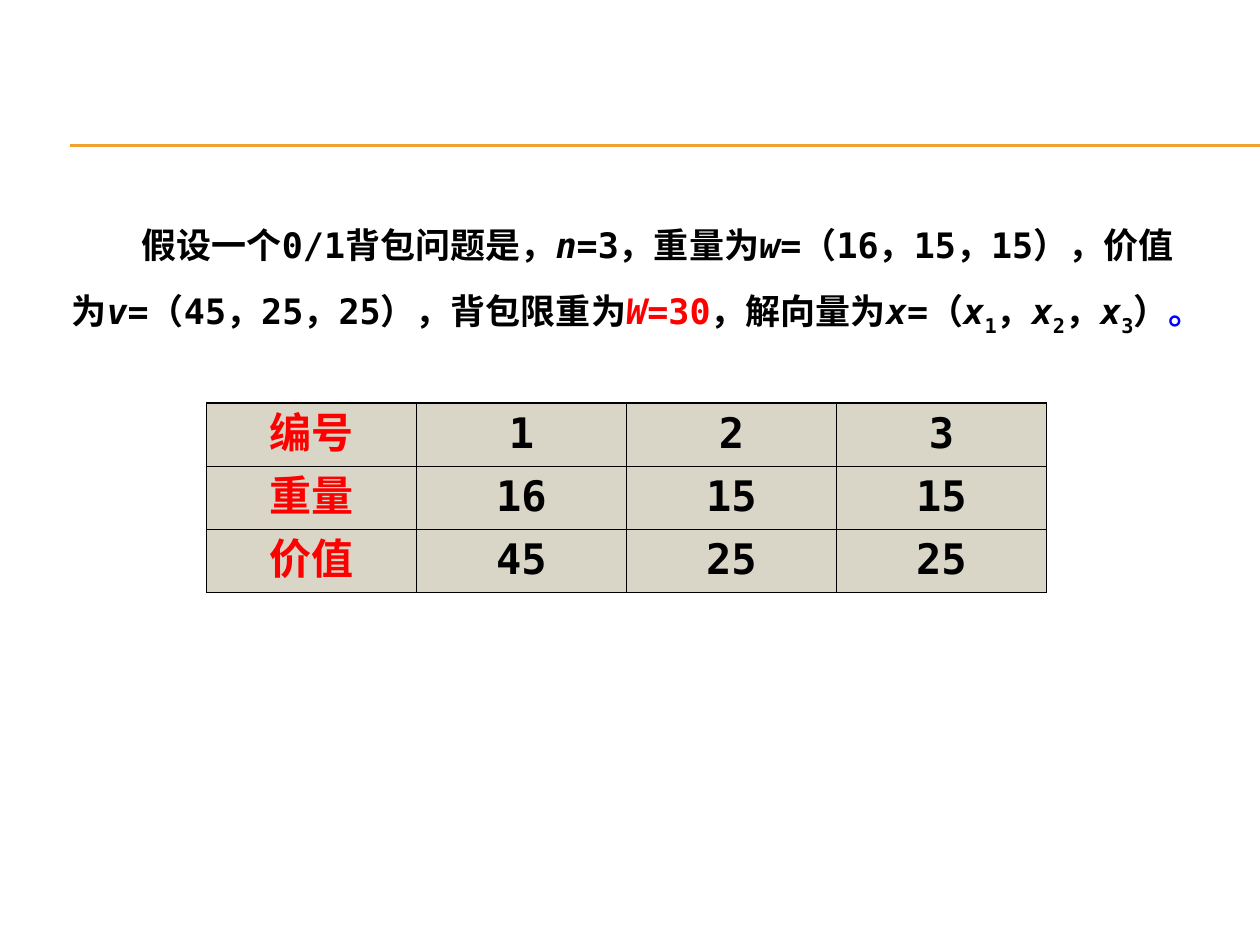
import dataclasses

import lxml.etree
import pptx
import pptx.dml.color
import pptx.enum.shapes
import pptx.enum.text
import pptx.oxml.ns
import pptx.util

Pt = pptx.util.Pt
qn = pptx.oxml.ns.qn
Sub = lxml.etree.SubElement


@dataclasses.dataclass(frozen=True)
class Theme:
    font: str = "DejaVu Sans Mono"
    ink: str = "000000"
    red: str = "FF0000"
    blue: str = "0000FF"
    gold: str = "F0A22E"
    sand: str = "D9D5C7"
    body: int = 20
    cell: int = 24


THEME = Theme()


def rgb(code):
    return pptx.dml.color.RGBColor.from_string(code)


def write(para, text, size=THEME.body, color=THEME.ink, slant=False, base=0):
    run = para.add_run()
    run.text = text
    font = run.font
    font.name, font.size, font.bold = THEME.font, Pt(size), True
    font.italic = slant
    font.color.rgb = rgb(color)
    props = run._r.get_or_add_rPr()
    Sub(props, qn("a:ea")).set("typeface", THEME.font)
    if base:
        props.set("baseline", str(base * 1000))


def rule(slide, y):
    line = slide.shapes.add_connector(
        pptx.enum.shapes.MSO_CONNECTOR.STRAIGHT, Pt(40.3), Pt(y), Pt(720), Pt(y))
    line.line.color.rgb = rgb(THEME.gold)
    line.line.width = Pt(0.75)
    Sub(line._element.spPr, qn("a:effectLst"))


def problem(slide):
    box = slide.shapes.add_textbox(Pt(33.8), Pt(112.3), Pt(663), Pt(80))
    frame = box.text_frame
    frame.word_wrap = True
    para = frame.paragraphs[0]
    para.line_spacing = 1.5
    para.space_before = Pt(10)
    para._p.get_or_add_pPr().set("indent", str(Pt(2 * THEME.body)))
    var = {"slant": True}
    sub = {"base": -25}
    hot = {"color": THEME.red}
    parts = [
        ("假设一个0/1背包问题是，", {}), ("n", var), ("=3，重量为", {}),
        ("w", var), ("=（16，15，15），价值为", {}),
        ("v", var), ("=（45，25，25），背包限重为", {}),
        ("W", var | hot), ("=30", hot), ("，解向量为", {}),
        ("x", var), ("=（", {}),
        ("x", var), ("1", sub), ("，", {}),
        ("x", var), ("2", sub), ("，", {}),
        ("x", var), ("3", sub), ("）", {}),
        ("。", {"color": THEME.blue}),
    ]
    for text, style in parts:
        write(para, text, **style)


def border(cell):
    props = cell._tc.get_or_add_tcPr()
    for place, side in enumerate(("lnL", "lnR", "lnT", "lnB")):
        edge = lxml.etree.Element(qn("a:" + side), w=str(Pt(1)))
        fill = Sub(edge, qn("a:solidFill"))
        Sub(fill, qn("a:srgbClr")).set("val", THEME.ink)
        props.insert(place, edge)


def grid(slide, rows):
    wide, high = 120, 29.3
    count = len(rows[0])
    table = slide.shapes.add_table(
        len(rows), count, Pt(118), Pt(230.4),
        Pt(wide * count), Pt(high * len(rows))).table
    for r, row in enumerate(rows):
        for c, text in enumerate(row):
            cell = table.cell(r, c)
            cell.fill.solid()
            cell.fill.fore_color.rgb = rgb(THEME.sand)
            border(cell)
            para = cell.text_frame.paragraphs[0]
            para.alignment = pptx.enum.text.PP_ALIGN.CENTER
            write(para, text, size=THEME.cell,
                  color=THEME.ink if c else THEME.red)


def main():
    deck = pptx.Presentation()
    deck.slide_width, deck.slide_height = Pt(720), Pt(540)
    slide = deck.slides.add_slide(deck.slide_layouts[6])
    for y in (82.8, 83.5):
        rule(slide, y)
    problem(slide)
    grid(slide, [
        ("编号", "1", "2", "3"),
        ("重量", "16", "15", "15"),
        ("价值", "45", "25", "25"),
    ])
    deck.save("out.pptx")


if __name__ == "__main__":
    main()
